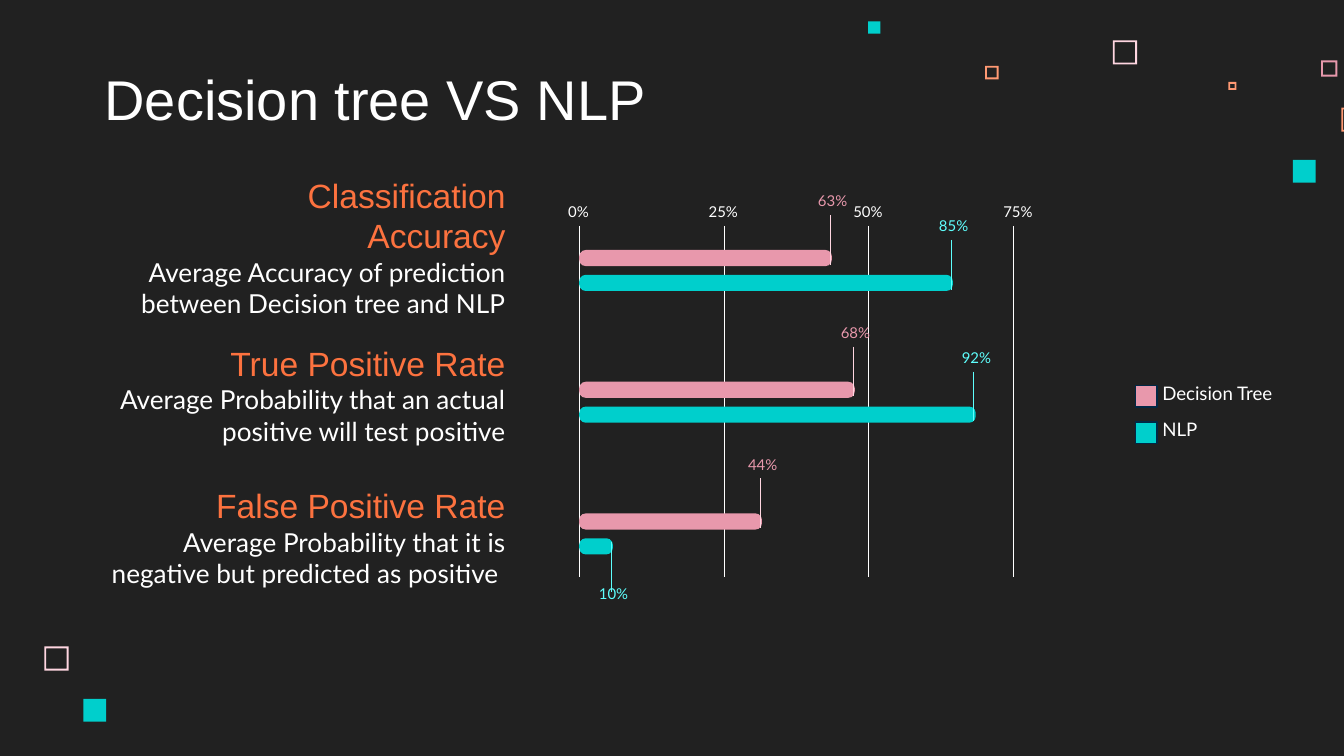
from collections import namedtuple

from lxml import etree
from pptx import Presentation
from pptx import util as u
from pptx.dml import color
from pptx.enum import shapes, text
from pptx.oxml import ns

# Lengths are counted in cells of a grid of 100 columns by 56.25 rows.
CELL = u.Inches(0.1)
COLUMNS, ROWS = 100, 56.25
Box = namedtuple("Box", "left top width height")

DARK, WHITE, ORANGE, NAVY = "212121", "FFFFFF", "FC723F", "002845"
PINK, PALE_PINK, PEACH = "E898AC", "FFD6E1", "FF9973"
TEAL, AQUA = "00CFCC", "5EFFFD"

SQUARES = [  # left, top, side, colour, hollow
    (82.8, 3, 1.8, PALE_PINK, True),
    (98.3, 4.5, 1.2, PINK, True),
    (91.4, 6.1, 0.6, PEACH, True),
    (99.8, 8, 1.8, PEACH, True),
    (96.2, 11.9, 1.7, TEAL, False),
    (73.3, 4.9, 1, PEACH, True),
    (64.6, 1.6, 0.9, TEAL, False),
    (3.3, 48.1, 1.8, PALE_PINK, True),
    (6.2, 52, 1.7, TEAL, False),
]
MEASURES = [  # top, heading, description
    (15.7, "Classification Accuracy",
     "Average Accuracy of prediction between Decision tree and NLP"),
    (25.2, "True Positive Rate",
     "Average Probability that an actual positive will test positive"),
    (35.8, "False Positive Rate",
     "Average Probability that it is negative but predicted as positive "),
]
BAR_PAIRS = [  # label and drawn length for Decision Tree, then for NLP
    (("63%", 18.8), ("85%", 27.8)),
    (("68%", 20.5), ("92%", 29.5)),
    (("44%", 13.6), ("10%", 2.5)),
]
SERIES = [("Decision Tree", PINK), ("NLP", TEAL)]
LABEL_COLOURS = [PINK, AQUA]
LEADER_COLOURS = [PALE_PINK, AQUA]


def rgb(value):
    return color.RGBColor.from_string(value)


def place(box):
    return [round(length * CELL) for length in box]


def add_text(page, box, words, size, colour=WHITE, font="Lato",
             align=text.PP_ALIGN.LEFT, anchor=text.MSO_ANCHOR.TOP):
    frame = page.shapes.add_textbox(*place(box)).text_frame
    frame.word_wrap = True
    frame.vertical_anchor = anchor
    frame.margin_left = frame.margin_right = u.Inches(0.1)
    frame.margin_top = frame.margin_bottom = u.Inches(0.1)
    para = frame.paragraphs[0]
    para.text = words
    para.alignment = align
    para.font.size = u.Pt(size)
    para.font.name = font
    para.font.color.rgb = rgb(colour)


def add_filled(page, kind, box, fill, outline=None):
    shape = page.shapes.add_shape(kind, *place(box))
    shape.shadow.inherit = False
    shape.fill.solid()
    shape.fill.fore_color.rgb = rgb(fill)
    if outline:
        shape.line.color.rgb = rgb(outline)
        shape.line.width = u.Pt(0.75)
    else:
        shape.line.fill.background()
    return shape


def add_upright(page, x, top, height, colour):
    """Draw a thin vertical line."""
    line = page.shapes.add_connector(
        shapes.MSO_CONNECTOR.STRAIGHT, *place((x, top, x, top + height)))
    line.line.color.rgb = rgb(colour)
    line.line.width = u.Pt(0.25)
    etree.SubElement(line._element.spPr, ns.qn("a:effectLst"))


def add_squares(page, box):
    for left, top, side, colour, hollow in SQUARES:
        kind = shapes.MSO_SHAPE.FRAME if hollow else shapes.MSO_SHAPE.RECTANGLE
        square = add_filled(
            page, kind, Box(box.left + left, box.top + top, side, side), colour)
        if hollow:
            square.adjustments[0] = 0.14 / side


def add_measures(page, box):
    indent = 7
    for top, heading, description in MEASURES:
        add_text(page,
                 Box(box.left + indent, box.top + top, box.width - indent, 4.3),
                 heading, 18, ORANGE, "Arial", text.PP_ALIGN.RIGHT,
                 text.MSO_ANCHOR.BOTTOM)
        add_text(page, Box(box.left, box.top + top + 2.35, box.width, 7.1),
                 description, 14, align=text.PP_ALIGN.RIGHT)


def add_axis(page, box):
    for index in range(4):
        x = box.left + index * box.width / 3
        label = f"{index * 25}%"
        add_upright(page, x, box.top, box.height, WHITE)
        add_text(page, Box(x - 2.3, box.top - 2.4, 5.3 if index == 3 else 4.5, 3.7),
                 label, 8, align=text.PP_ALIGN.CENTER)


def add_bars(page, box):
    pair_pitch, bar_pitch, thickness = 9.8, 1.85, 1.2
    for row, pair in enumerate(BAR_PAIRS):
        for series, (label, length) in enumerate(pair):
            top = box.top + 1.8 + row * pair_pitch + series * bar_pitch
            bar = add_filled(page, shapes.MSO_SHAPE.ROUNDED_RECTANGLE,
                             Box(box.left, top, length, thickness),
                             SERIES[series][1])
            bar.adjustments[0] = 0.4
            add_callout(page, Box(box.left, top, length, thickness), label,
                        series, below=label == "10%")


def add_callout(page, bar, label, series, below):
    """Write a bar's value at the far end of a leader line."""
    leader = 3.7
    x = bar.left + bar.width - 0.15
    top = bar.top + (0.3 if below else -2.6)
    label_top = top + (2.5 if below else -2.4)
    add_upright(page, x, top, leader, LEADER_COLOURS[series])
    add_text(page, Box(x - 2.05, label_top, 4.5, 3.7), label, 8,
             LABEL_COLOURS[series], align=text.PP_ALIGN.CENTER)


def add_legend(page, box):
    key = 1.6
    for row, (name, colour) in enumerate(SERIES):
        top = box.top + row * box.height / len(SERIES)
        add_filled(page, shapes.MSO_SHAPE.RECTANGLE,
                   Box(box.left, top, key, key), colour, NAVY)
        add_text(page, Box(box.left + 1, top - 1.15, box.width - 1, 3.5),
                 name, 10)


def main():
    deck = Presentation()
    deck.slide_width = round(COLUMNS * CELL)
    deck.slide_height = round(ROWS * CELL)
    page = deck.slides.add_slide(deck.slide_layouts[6])
    page.background.fill.solid()
    page.background.fill.fore_color.rgb = rgb(DARK)

    add_squares(page, Box(0, 0, COLUMNS, ROWS))
    add_text(page, Box(6.8, 4.5, 51.7, 6.3), "Decision tree VS NLP", 30,
             font="Arial", anchor=text.MSO_ANCHOR.BOTTOM)
    add_measures(page, Box(6.8, 0, 31.8, ROWS))
    plot = Box(43.1, 16.8, 32.3, 26.1)
    add_axis(page, plot)
    add_bars(page, plot)
    add_legend(page, Box(84.5, 28.7, 13.2, 5.4))
    deck.save("out.pptx")


if __name__ == "__main__":
    main()
